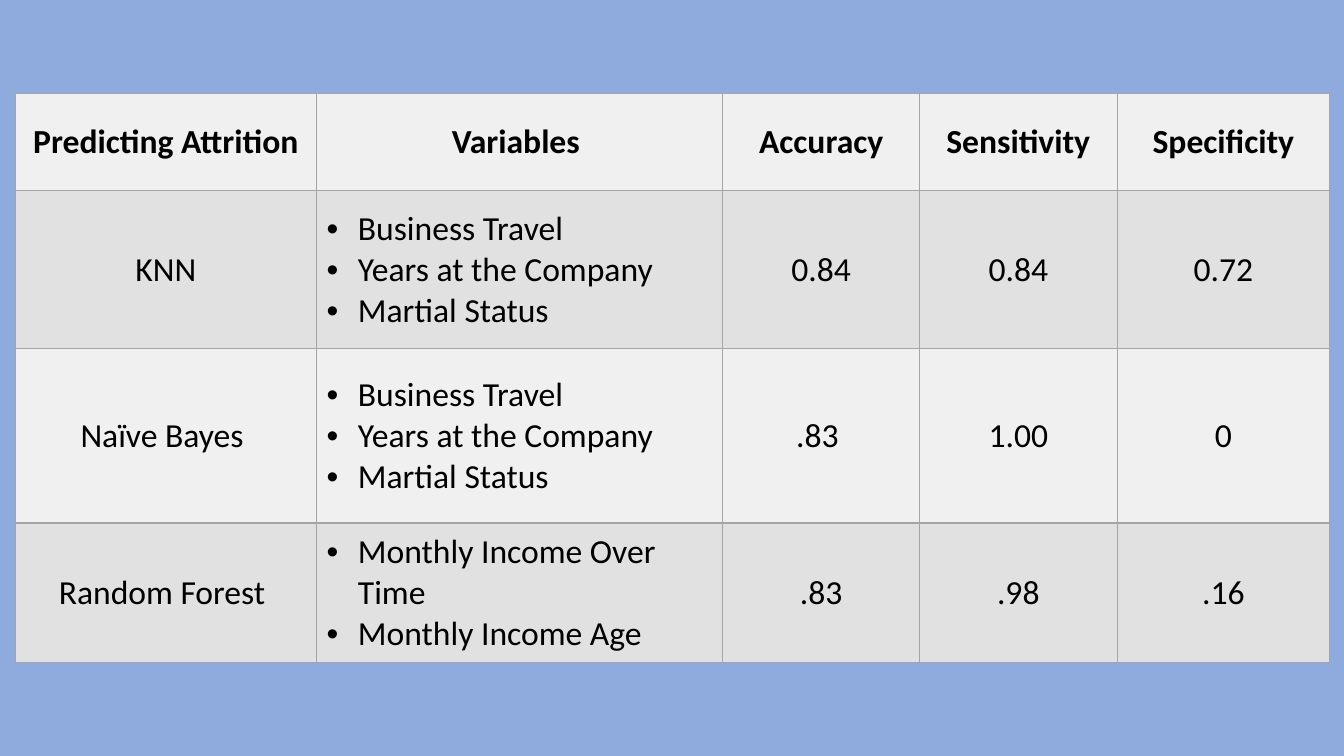
from lxml import etree
from pptx import Presentation
from pptx.dml.color import RGBColor
from pptx.enum.text import MSO_ANCHOR, PP_ALIGN
from pptx.oxml.ns import qn
from pptx.util import Inches, Pt

HEADERS = ["Predicting Attrition", "Variables ", "Accuracy", "Sensitivity", "Specificity"]
SHARED_VARIABLES = ["Business Travel", "Years at the Company", "Martial Status"]
MODELS = [
    ["KNN", SHARED_VARIABLES, "0.84", "0.84", "0.72"],
    ["Naïve Bayes ", SHARED_VARIABLES, ".83 ", "1.00", "0"],
    ["Random Forest ", ["Monthly Income Over Time", "Monthly Income Age"], ".83", ".98", ".16"],
]
COLUMN_WIDTHS = [2.99, 4.03, 1.95, 1.96, 2.11]
ROW_HEIGHTS = [0.96, 1.57, 1.73, 1.38]
LEFT, TOP = 0.15, 0.93

BLUE = RGBColor(0x8F, 0xAA, 0xDC)
BLACK = RGBColor(0x00, 0x00, 0x00)
GREY = RGBColor(0xA5, 0xA5, 0xA5)
BANDS = [RGBColor(0xF0, 0xF0, 0xF0), RGBColor(0xE1, 0xE1, 0xE1)]
MIDDLE = MSO_ANCHOR.MIDDLE
CENTER = PP_ALIGN.CENTER
LEFT_ALIGN = PP_ALIGN.LEFT


def add_borders(cell):
    properties = cell._tc.get_or_add_tcPr()
    for position, side in enumerate(("a:lnL", "a:lnR", "a:lnT", "a:lnB")):
        line = etree.Element(qn(side), w=str(Pt(1)))
        fill = etree.SubElement(line, qn("a:solidFill"))
        etree.SubElement(fill, qn("a:srgbClr"), val=str(GREY))
        properties.insert(position, line)


def add_bullet(para):
    properties = para._p.get_or_add_pPr()
    properties.set("marL", str(Inches(0.31)))
    properties.set("indent", str(-Inches(0.31)))
    etree.SubElement(properties, qn("a:buFont"), typeface="Arial")
    etree.SubElement(properties, qn("a:buChar"), char="•")


def fill_cell(cell, content, band, bold):
    bulleted = isinstance(content, list)
    cell.text_frame.text = "\n".join(content) if bulleted else content
    cell.vertical_anchor = MIDDLE
    cell.fill.solid()
    cell.fill.fore_color.rgb = band
    add_borders(cell)
    for para in cell.text_frame.paragraphs:
        para.alignment = LEFT_ALIGN if bulleted else CENTER
        if bulleted:
            add_bullet(para)
        for span in para.runs:
            span.font.name = "Calibri"
            span.font.size = Pt(24)
            span.font.bold = bold
            span.font.color.rgb = BLACK


def main():
    deck = Presentation()
    deck.slide_width, deck.slide_height = Inches(13.33), Inches(7.5)
    page = deck.slides.add_slide(deck.slide_layouts[6])
    page.background.fill.solid()
    page.background.fill.fore_color.rgb = BLUE

    rows = [HEADERS] + MODELS
    table = page.shapes.add_table(
        len(rows), len(HEADERS), Inches(LEFT), Inches(TOP),
        Inches(sum(COLUMN_WIDTHS)), Inches(sum(ROW_HEIGHTS)),
    ).table
    for column, width in zip(table.columns, COLUMN_WIDTHS):
        column.width = Inches(width)
    for row, height in zip(table.rows, ROW_HEIGHTS):
        row.height = Inches(height)
    for row_index, contents in enumerate(rows):
        for column_index, content in enumerate(contents):
            fill_cell(table.cell(row_index, column_index), content,
                      BANDS[row_index % 2], row_index == 0)

    deck.save("out.pptx")


if __name__ == "__main__":
    main()
